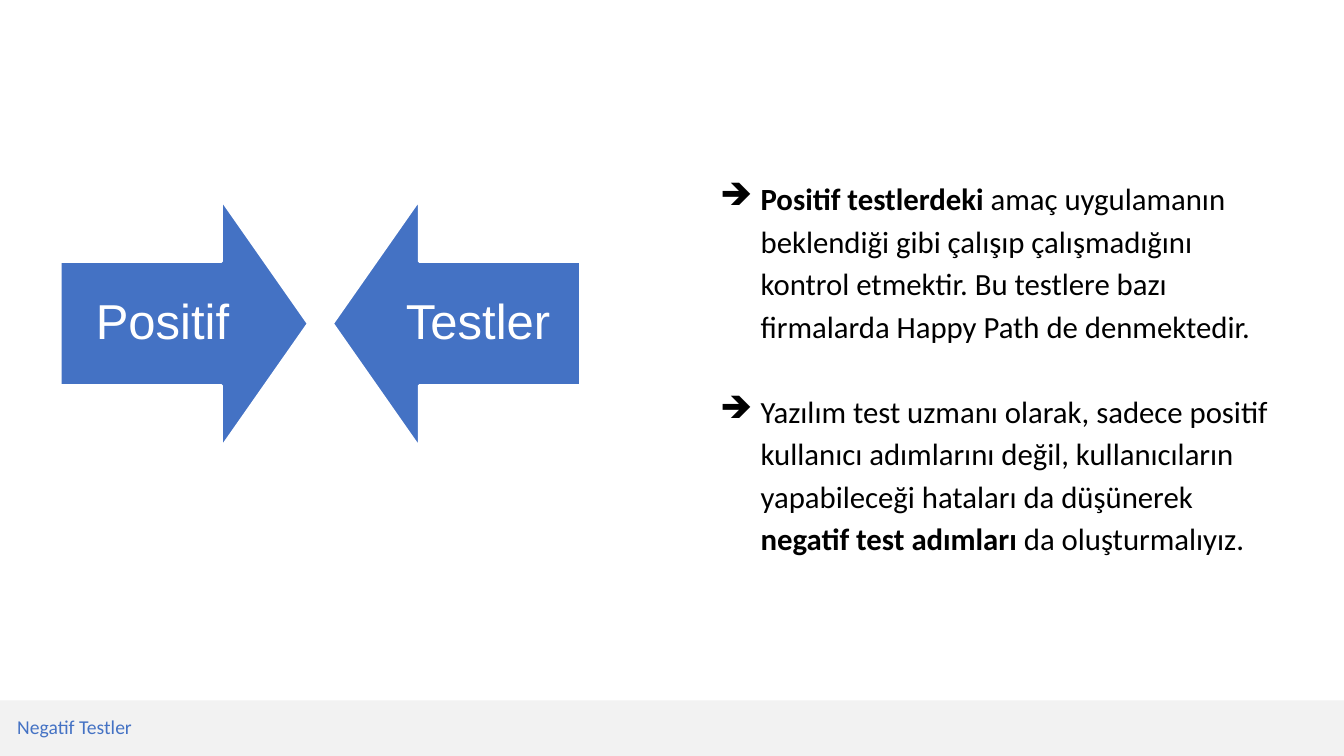
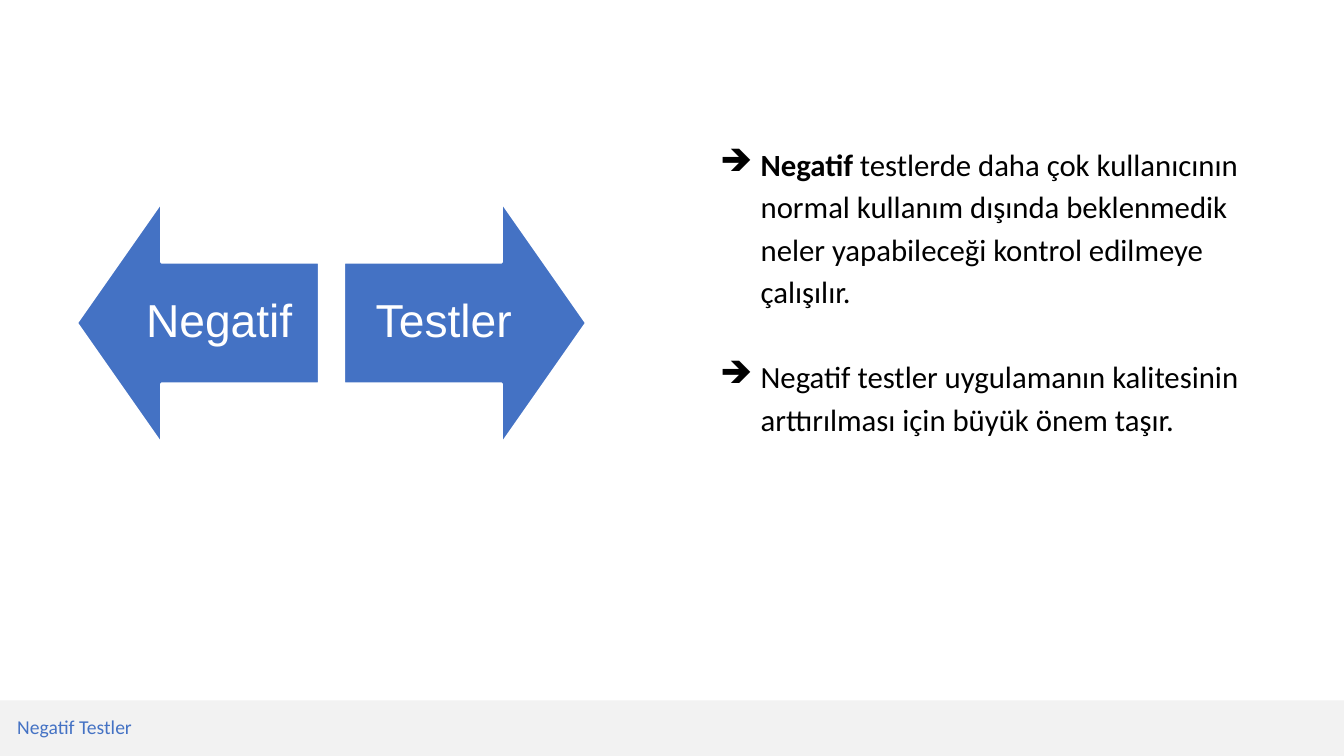
"""Build two slides on positive and negative tests."""
from lxml.etree import SubElement
from pptx import Presentation
from pptx.dml.color import RGBColor
from pptx.enum.shapes import MSO_SHAPE
from pptx.enum.text import MSO_ANCHOR, MSO_AUTO_SIZE, PP_ALIGN
from pptx.oxml.ns import qn
from pptx.util import Cm, Pt

BLUE = RGBColor(0x44, 0x72, 0xC4)
GREY = RGBColor(0xF2, 0xF2, 0xF2)
WHITE = RGBColor(0xFF, 0xFF, 0xFF)
BLACK = RGBColor(0, 0, 0)
RIGHT, LEFT = MSO_SHAPE.RIGHT_ARROW, MSO_SHAPE.LEFT_ARROW

PAGES = [
    {
        "arrows": [(RIGHT, 1.52, "Positif"), (LEFT, 8.38, "Testler")],
        "top": 5.03, "side": 6.25, "size": 35,
        "box": (4.27, 10.54),
        "points": [
            [("Positif testlerdeki ", True),
             ("amaç uygulamanın beklendiği gibi çalışıp çalışmadığını kontrol "
              "etmektir. Bu testlere bazı firmalarda Happy Path de "
              "denmektedir.", False)],
            [("Yazılım test uzmanı olarak, sadece positif kullanıcı adımlarını "
              "değil, kullanıcıların yapabileceği hataları da düşünerek ", False),
             ("negatif test adımları ", True),
             ("da oluşturmalıyız.", False)],
        ],
    },
    {
        "arrows": [(LEFT, 1.93, "Negatif"), (RIGHT, 8.66, "Testler")],
        "top": 5.08, "side": 6.12, "size": 33,
        "box": (3.4, 8.58),
        "points": [
            [("Negatif ", True),
             ("testlerde daha çok kullanıcının normal kullanım dışında "
              "beklenmedik neler yapabileceği kontrol edilmeye çalışılır.", False)],
            [("Negatif testler uygulamanın kalitesinin arttırılması için büyük "
              "önem taşır.", False)],
        ],
    },
]


def add_run(para, text, size, color, font="Calibri", bold=False):
    run = para.add_run()
    run.text = text
    run.font.name = font
    run.font.size = Pt(size)
    run.font.bold = bold
    run.font.color.rgb = color


def add_shape(slide, kind, place, fill):
    shape = slide.shapes.add_shape(kind, *[Cm(n) for n in place])
    shape.shadow.inherit = False
    shape.fill.solid()
    shape.fill.fore_color.rgb = fill
    return shape


deck = Presentation()
deck.slide_width, deck.slide_height = Cm(33.87), Cm(19.05)

for page in PAGES:
    slide = deck.slides.add_slide(deck.slide_layouts[5])

    band = add_shape(slide, MSO_SHAPE.RECTANGLE, (0, 17.65, 33.87, 1.4), GREY)
    band.line.fill.background()

    title = slide.shapes.title
    title.left, title.top = Cm(0.18), Cm(17.81)
    title.width, title.height = Cm(14.33), Cm(0.94)
    slide.shapes.element.append(title.element)
    frame = title.text_frame
    frame.auto_size = MSO_AUTO_SIZE.NONE
    frame.vertical_anchor = MSO_ANCHOR.BOTTOM
    para = frame.paragraphs[0]
    para.alignment = PP_ALIGN.LEFT
    para.line_spacing = 0.9
    add_run(para, "Negatif Testler", 14, BLUE)

    for kind, left, word in page["arrows"]:
        place = (left, page["top"], page["side"], page["side"])
        arrow = add_shape(slide, kind, place, BLUE)
        arrow.adjustments[0] = 0.5
        arrow.adjustments[1] = 0.35
        arrow.line.color.rgb = WHITE
        arrow.line.width = Pt(2)
        frame = arrow.text_frame
        frame.margin_left = frame.margin_right = 0
        frame.vertical_anchor = MSO_ANCHOR.MIDDLE
        para = frame.paragraphs[0]
        para.alignment = PP_ALIGN.CENTER
        para.line_spacing = 0.9
        add_run(para, word, page["size"], WHITE, "Arial")

    top, height = page["box"]
    box = slide.shapes.add_textbox(Cm(17.65), Cm(top), Cm(14.68), Cm(height))
    frame = box.text_frame
    frame.word_wrap = True
    for rank, point in enumerate(page["points"]):
        para = frame.add_paragraph() if rank else frame.paragraphs[0]
        para.line_spacing = 1.15
        para.space_before = Pt(30.5 if rank else 0)
        props = para._p.get_or_add_pPr()
        props.set("marL", str(Cm(1.27)))
        props.set("indent", str(-Cm(1.02)))
        tint = SubElement(props, qn("a:buClr"))
        SubElement(tint, qn("a:srgbClr"), val=str(BLACK))
        SubElement(props, qn("a:buChar"), char="➔")
        for text, bold in point:
            add_run(para, text, 22, BLACK, bold=bold)

deck.save("out.pptx")
